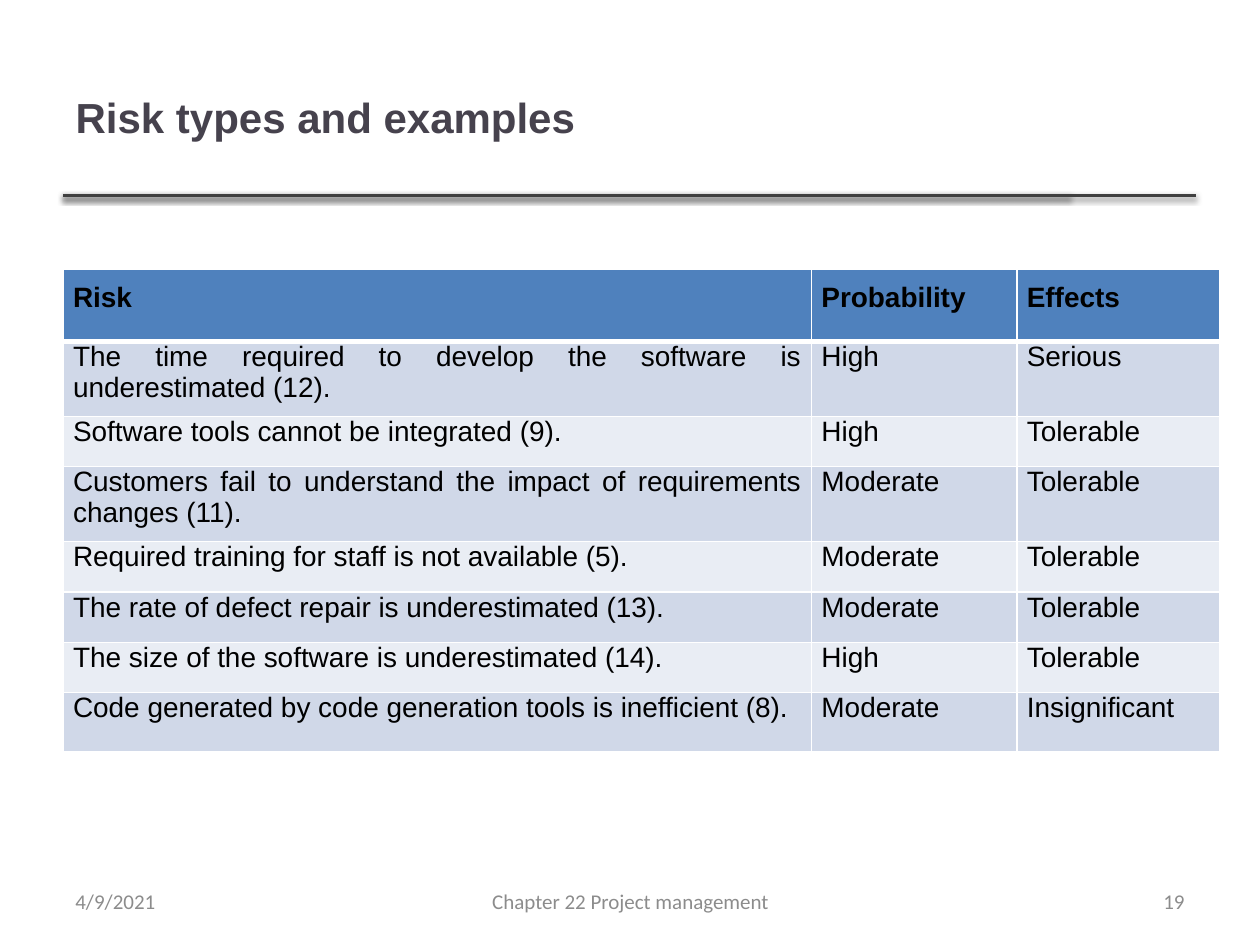
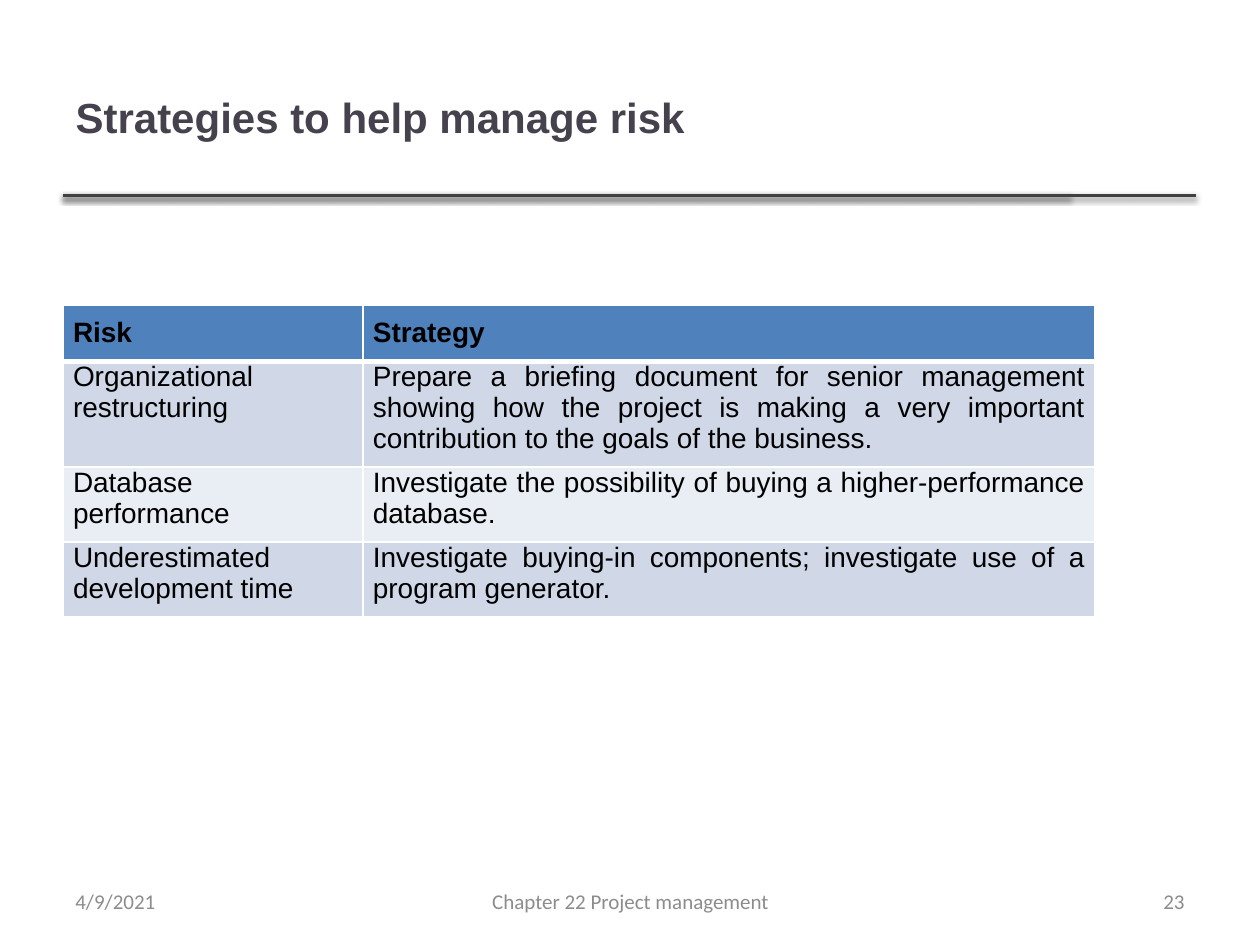
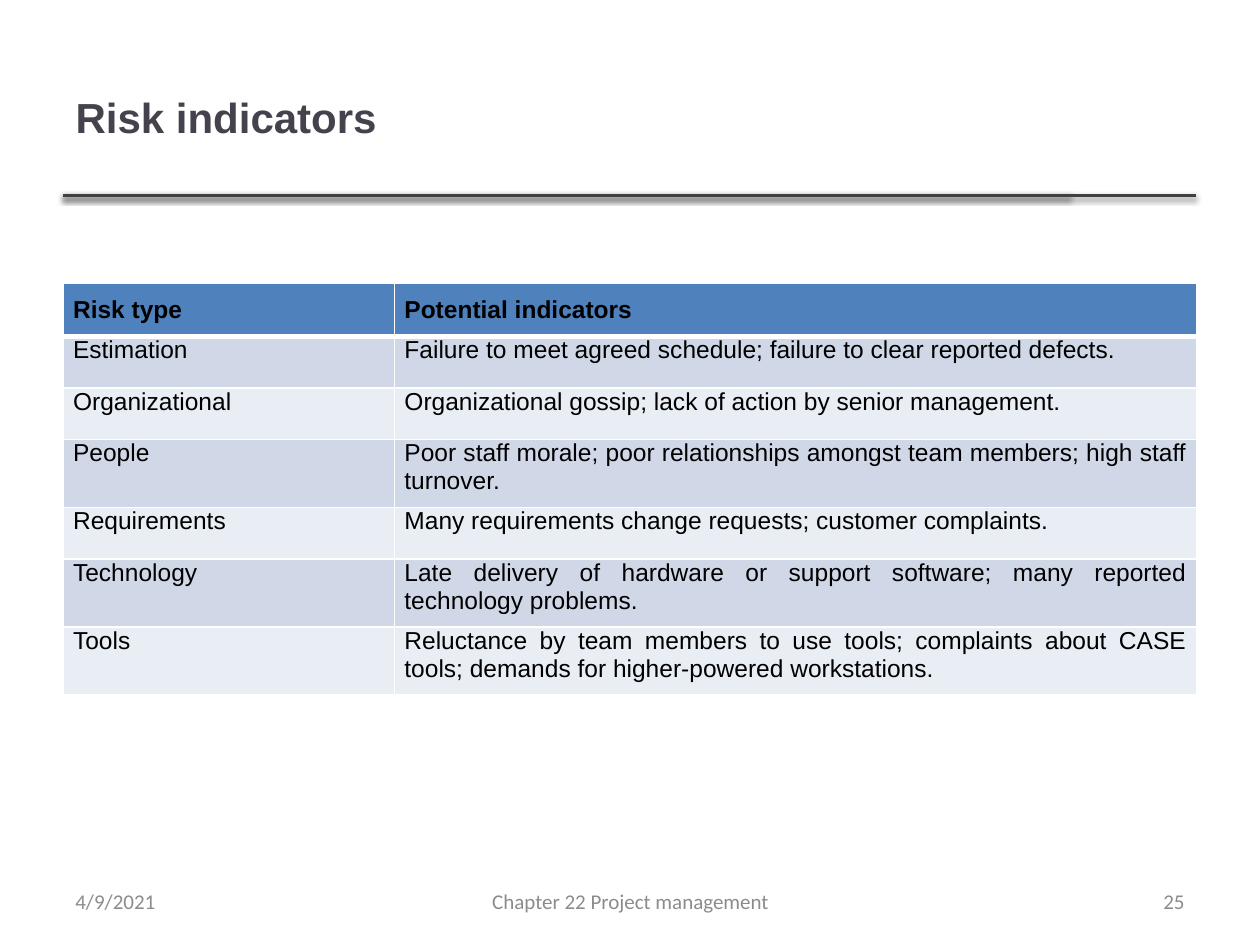
from lxml import etree
from pptx import Presentation
from pptx.dml.color import RGBColor
from pptx.enum.shapes import MSO_CONNECTOR
from pptx.enum.text import MSO_ANCHOR, PP_ALIGN
from pptx.oxml import parse_xml
from pptx.oxml.ns import nsdecls, qn
from pptx.util import Inches, Pt

LEFT, CENTER, RIGHT, JUSTIFY = (
    PP_ALIGN.LEFT, PP_ALIGN.CENTER, PP_ALIGN.RIGHT, PP_ALIGN.JUSTIFY)
MIDDLE, TOP = MSO_ANCHOR.MIDDLE, MSO_ANCHOR.TOP
STRAIGHT = MSO_CONNECTOR.STRAIGHT
TITLE_ONLY = 5

TITLE_COLOR, RULE_COLOR, FOOTER_COLOR = "46424D", "404040", "8C8C8C"
HEADER_FILL, BAND_FILLS = "4F81BD", ("D0D8E8", "E9EDF4")
BLACK, WHITE = "000000", "FFFFFF"

MARGIN = 0.5
TITLE_BOX = (MARGIN, 0.3, 7.98, 1.25)
RULE_TOP, RULE_ENDS = 1.55, (8.49, 9.49)
FOOTER_TOP, FOOTER_HEIGHT = 6.95, 0.4
DATE = "4/9/2021"
CHAPTER = "Chapter 22 Project management"

SLIDES = [
    {
        "title": "Risk types and examples", "page": 19, "top": 2.14, "size": 16,
        "columns": (5.94, 1.63, 1.61), "first_align": JUSTIFY,
        "heights": (0.57, 0.59, 0.4, 0.59, 0.4, 0.4, 0.4, 0.47),
        "rows": [
            ("Risk", "Probability", "Effects"),
            ("The time required to develop the software is underestimated (12).",
             "High", "Serious"),
            ("Software tools cannot be integrated (9).", "High", "Tolerable"),
            ("Customers fail to understand the impact of requirements changes (11).",
             "Moderate", "Tolerable"),
            ("Required training for staff is not available (5).",
             "Moderate", "Tolerable"),
            ("The rate of defect repair is underestimated (13).",
             "Moderate", "Tolerable"),
            ("The size of the software is underestimated (14).",
             "High", "Tolerable"),
            ("Code generated by code generation tools is inefficient (8).",
             "Moderate", "Insignificant"),
        ],
    },
    {
        "title": "Strategies to help manage risk", "page": 23, "top": 2.42, "size": 16,
        "columns": (2.38, 5.81), "first_align": LEFT,
        "heights": (0.43, 0.84, 0.59, 0.59),
        "rows": [
            ("Risk", "Strategy"),
            ("Organizational restructuring",
             "Prepare a briefing document for senior management showing how the "
             "project is making a very important contribution to the goals of "
             "the business."),
            ("Database performance",
             "Investigate the possibility of buying a higher-performance database."),
            ("Underestimated development time",
             "Investigate buying-in components; investigate use of a program "
             "generator."),
        ],
    },
    {
        "title": "Risk indicators", "page": 25, "top": 2.25, "size": 14,
        "columns": (2.63, 6.37), "first_align": JUSTIFY,
        "heights": (0.41, 0.41, 0.41, 0.54, 0.41, 0.54, 0.53),
        "rows": [
            ("Risk type", "Potential indicators"),
            ("Estimation",
             "Failure to meet agreed schedule; failure to clear reported defects."),
            ("Organizational",
             "Organizational gossip; lack of action by senior management."),
            ("People",
             "Poor staff morale; poor relationships amongst team members; high "
             "staff turnover."),
            ("Requirements",
             "Many requirements change requests; customer complaints."),
            ("Technology",
             "Late delivery of hardware or support software; many reported "
             "technology problems."),
            ("Tools",
             "Reluctance by team members to use tools; complaints about CASE "
             "tools; demands for higher-powered workstations."),
        ],
    },
]


def paint(color_holder, color):
    """Give a fill a solid colour from a hex string."""
    color_holder.solid()
    color_holder.fore_color.rgb = RGBColor.from_string(color)


def write(frame, text, *, size, color=BLACK, font="Arial", bold=False,
          align=LEFT):
    """Put one formatted paragraph in a text frame."""
    frame.word_wrap = True
    paragraph = frame.paragraphs[0]
    paragraph.alignment = align
    run = paragraph.add_run()
    run.text = text
    run.font.name, run.font.size, run.font.bold = font, Pt(size), bold
    paint(run.font.fill, color)


def add_rules(slide):
    """Draw the shadowed title rules and move them to the shared layout."""
    for end in RULE_ENDS:
        rule = slide.shapes.add_connector(
            STRAIGHT, Inches(MARGIN), Inches(RULE_TOP), Inches(end), Inches(RULE_TOP))
        paint(rule.line.fill, RULE_COLOR)
        rule.line.width = Pt(2)
        rule.element.spPr.append(parse_xml(
            f'<a:effectLst {nsdecls("a")}>'
            f'<a:outerShdw blurRad="{Pt(3.1)}" dist="{Pt(1.6)}" dir="5400000" '
            f'rotWithShape="0"><a:srgbClr val="{BLACK}"><a:alpha val="38000"/>'
            '</a:srgbClr></a:outerShdw></a:effectLst>'))
        slide.slide_layout.shapes.element.append(rule.element)


def add_title(slide, text):
    """Place and fill the title placeholder."""
    title = slide.shapes.title
    title.left, title.top, title.width, title.height = map(Inches, TITLE_BOX)
    title.text_frame.vertical_anchor = MIDDLE
    write(title.text_frame, text, size=24, color=TITLE_COLOR, bold=True)


def add_footer(slide, page):
    """Write the date, chapter and page number along the bottom."""
    for text, left, width, align in (
            (DATE, MARGIN, 2.33, LEFT),
            (CHAPTER, 3.42, 3.17, CENTER),
            (str(page), 7.17, 2.33, RIGHT)):
        box = slide.shapes.add_textbox(
            Inches(left), Inches(FOOTER_TOP), Inches(width), Inches(FOOTER_HEIGHT))
        box.text_frame.vertical_anchor = MIDDLE
        write(box.text_frame, text, size=12, color=FOOTER_COLOR,
              font="Calibri", align=align)


def add_borders(cell, top, bottom):
    """Outline a cell in white, with top and bottom widths in points."""
    properties = cell._tc.get_or_add_tcPr()
    for side, width in (("L", 1), ("R", 1), ("T", top), ("B", bottom)):
        border = etree.SubElement(properties, qn(f"a:ln{side}"), w=str(Pt(width)))
        fill = etree.SubElement(border, qn("a:solidFill"))
        etree.SubElement(fill, qn("a:srgbClr"), val=WHITE)


def add_risk_table(slide, content):
    """Build the banded table with its header row."""
    rows, columns, heights = content["rows"], content["columns"], content["heights"]
    table = slide.shapes.add_table(
        len(rows), len(columns), Inches(MARGIN), Inches(content["top"]),
        Inches(sum(columns)), Inches(sum(heights))).table
    for column, width in zip(table.columns, columns):
        column.width = Inches(width)
    for r, (texts, height) in enumerate(zip(rows, heights)):
        table.rows[r].height = Inches(height)
        header = r == 0
        for c, text in enumerate(texts):
            cell = table.cell(r, c)
            cell.margin_left = cell.margin_right = Inches(0.08)
            cell.margin_top = Inches(0.1 if header else 0)
            cell.margin_bottom = Inches(0.1)
            cell.vertical_anchor = TOP
            add_borders(cell, top=3 if r == 1 else 1, bottom=3 if header else 1)
            paint(cell.fill, HEADER_FILL if header else BAND_FILLS[(r - 1) % 2])
            write(cell.text_frame, text, size=content["size"], bold=header,
                  align=content["first_align"] if c == 0 else JUSTIFY)


def main():
    """Build and save the presentation."""
    deck = Presentation()
    deck.slide_width, deck.slide_height = Inches(10), Inches(7.5)
    layout = deck.slide_layouts[TITLE_ONLY]
    for number, content in enumerate(SLIDES):
        slide = deck.slides.add_slide(layout)
        if number == 0:
            add_rules(slide)
        add_title(slide, content["title"])
        add_risk_table(slide, content)
        add_footer(slide, content["page"])
    deck.save("out.pptx")


main()
